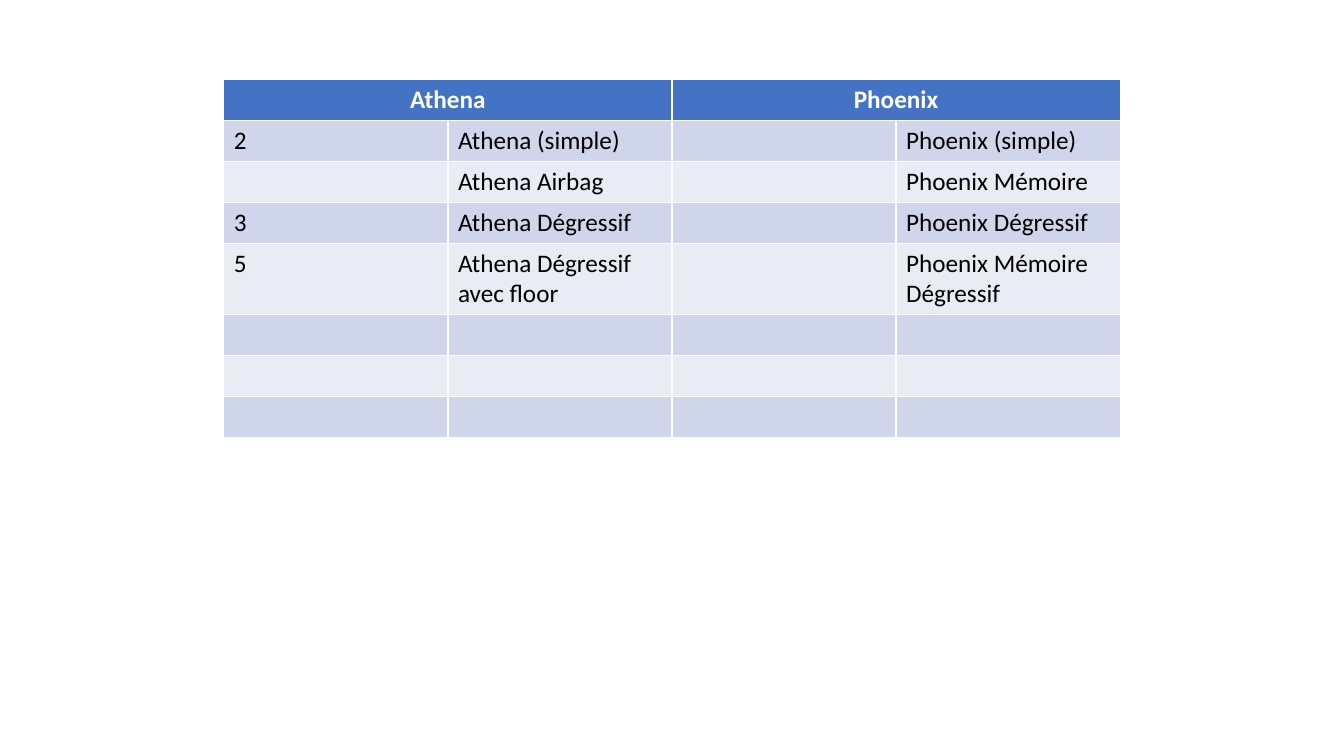
from pptx import Presentation
from pptx.dml.color import RGBColor
from pptx.enum.text import PP_ALIGN
from pptx.util import Inches, Pt

CENTER = PP_ALIGN.CENTER
LEFT = PP_ALIGN.LEFT
HEADER_BLUE = RGBColor(0x44, 0x72, 0xC4)
BAND_DARK = RGBColor(0xCF, 0xD5, 0xEA)
BAND_LIGHT = RGBColor(0xE9, 0xEB, 0xF5)
WHITE = RGBColor(0xFF, 0xFF, 0xFF)
BLACK = RGBColor(0x00, 0x00, 0x00)

PRODUCTS = [
    ["Athena", "", "Phoenix", ""],
    ["2", "Athena (simple)", "", "Phoenix (simple)"],
    ["", "Athena Airbag", "", "Phoenix Mémoire"],
    ["3", "Athena Dégressif", "", "Phoenix Dégressif"],
    ["5", "Athena Dégressif avec floor", "", "Phoenix Mémoire Dégressif"],
    ["", "", "", ""],
    ["", "", "", ""],
    ["", "", "", ""],
]

prs = Presentation()
prs.slide_width = Inches(13.33)
prs.slide_height = Inches(7.5)
slide = prs.slides.add_slide(prs.slide_layouts[6])

product_table = slide.shapes.add_table(
    len(PRODUCTS), 4, Inches(2.22), Inches(0.79), Inches(8.89), Inches(3.24)
).table

for row, entries in enumerate(PRODUCTS):
    is_header = row == 0
    band = HEADER_BLUE if is_header else BAND_DARK if row % 2 else BAND_LIGHT
    for column, entry in enumerate(entries):
        cell = product_table.cell(row, column)
        cell.fill.solid()
        cell.fill.fore_color.rgb = band
        cell.text_frame.text = entry
        paragraph = cell.text_frame.paragraphs[0]
        paragraph.alignment = CENTER if is_header else LEFT
        paragraph.font.size = Pt(18)
        for run in paragraph.runs:
            run.font.name = "Calibri"
            run.font.size = Pt(18)
            run.font.bold = is_header
            run.font.color.rgb = WHITE if is_header else BLACK

for column in (0, 2):
    product_table.cell(0, column).merge(product_table.cell(0, column + 1))

prs.save("out.pptx")
